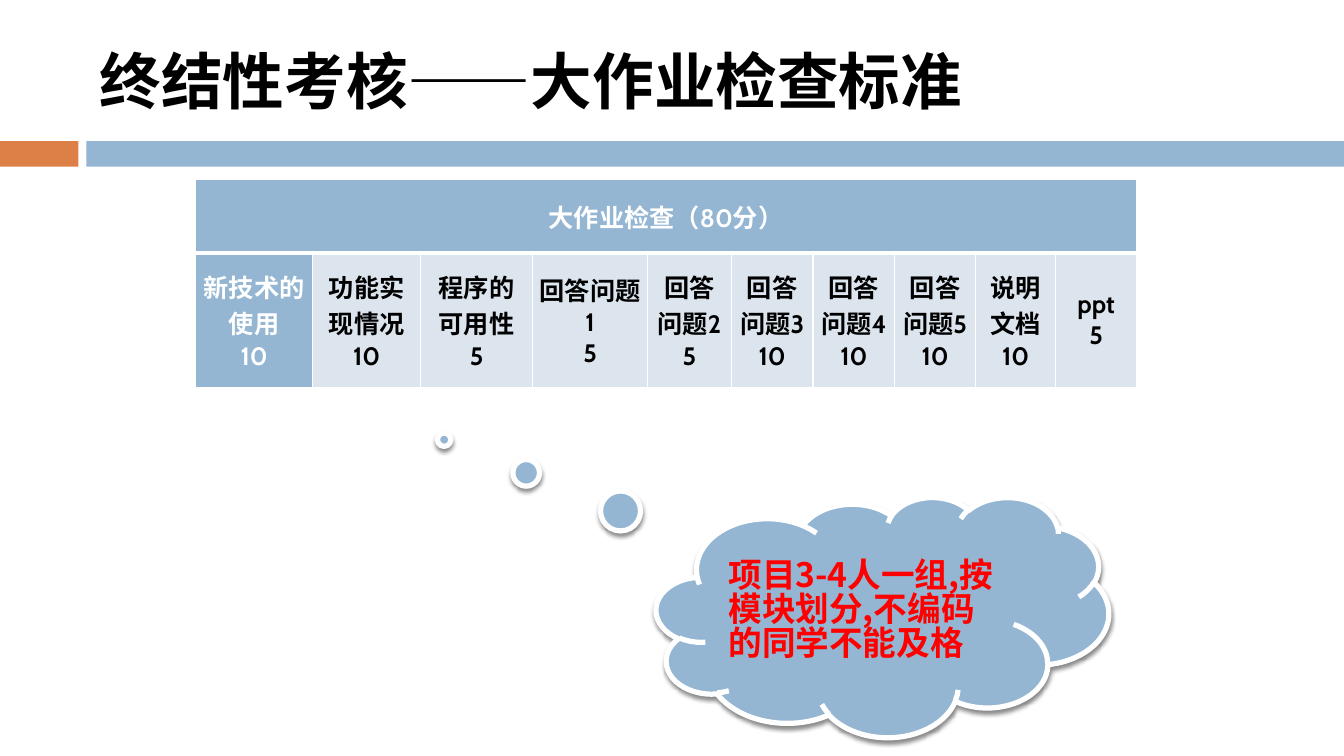
from lxml import etree
from pptx import Presentation
from pptx import util as u
from pptx.dml.color import RGBColor
from pptx.enum import shapes, text
from pptx.oxml import ns

ORANGE = RGBColor(0xDD, 0x80, 0x47)
BLUE = RGBColor(0x94, 0xB6, 0xD2)
PALE = RGBColor(0xDC, 0xE5, 0xEE)
WHITE = RGBColor(0xFF, 0xFF, 0xFF)
BLACK = RGBColor(0, 0, 0)
RED = RGBColor(0xFF, 0, 0)
LATIN = "Cabin"
CHINESE = "Noto Sans CJK SC"

CRITERIA = [
    ("新技术的使用", 10, 2.95),
    ("功能实现情况", 10, 2.72),
    ("程序的可用性", 5, 2.82),
    ("回答问题1", 5, 2.9),
    ("回答问题2", 5, 2.11),
    ("回答问题3", 10, 2.06),
    ("回答问题4", 10, 2.06),
    ("回答问题5", 10, 2.03),
    ("说明文档", 10, 2.03),
    ("ppt", 5, 2.03),
]


def apply(target, formats):
    for key, value in formats.items():
        setattr(target, key, value)


def child(parent, tag, **attributes):
    return etree.SubElement(parent, ns.qn(tag), attributes)


def box(left, top, width, height):
    return [u.Cm(length) for length in (left, top, width, height)]


def add_words(paragraph, words, size, color, font=LATIN):
    run = paragraph.add_run()
    run.text = words
    apply(run.font, {"size": u.Pt(size), "bold": True, "name": font})
    run.font.color.rgb = color
    child(run.font._element, "a:ea", typeface=CHINESE)


def add_filled(slide, preset, place, color):
    filled = slide.shapes.add_shape(preset, *box(*place))
    filled.shadow.inherit = False
    filled.fill.solid()
    filled.fill.fore_color.rgb = color
    filled.line.fill.background()
    return filled


def set_title(slide, words):
    title = slide.shapes.title
    left, top, width, height = box(2.26, 0.64, 30.2, 2.74)
    apply(title, {"left": left, "top": top, "width": width, "height": height})
    apply(title.text_frame, {"vertical_anchor": text.MSO_ANCHOR.MIDDLE, "word_wrap": True})
    heading = title.text_frame.paragraphs[0]
    heading.alignment = text.PP_ALIGN.LEFT
    add_words(heading, words, 44, BLACK)


def add_cloud(slide, words):
    cloud = add_filled(slide, shapes.MSO_SHAPE.CLOUD_CALLOUT, (16.54, 12.52, 11.4, 6.05), BLUE)
    cloud.adjustments[0] = -0.969
    cloud.adjustments[1] = -0.738
    cloud.line.color.rgb = WHITE
    cloud.line.width = u.Pt(3.75)
    effects = cloud._element.spPr.find(ns.qn("a:effectLst"))
    shade = child(effects, "a:outerShdw", blurRad=str(u.Pt(3)), dist=str(u.Pt(2.4)),
                  dir="5400000", rotWithShape="0")
    child(child(shade, "a:srgbClr", val="000000"), "a:alpha", val="45000")
    apply(cloud.text_frame, {"vertical_anchor": text.MSO_ANCHOR.MIDDLE, "word_wrap": True})
    rule = cloud.text_frame.paragraphs[0]
    apply(rule, {"alignment": text.PP_ALIGN.LEFT, "line_spacing": 0.84})
    add_words(rule, words, 24, RED, CHINESE)


def format_cell(cell, fill, bottom=1, top=1):
    properties = cell._tc.get_or_add_tcPr()
    for side, width in (("L", 1), ("R", 1), ("T", top), ("B", bottom)):
        border = child(properties, f"a:ln{side}", w=str(u.Pt(width)))
        child(child(border, "a:solidFill"), "a:srgbClr", val=str(WHITE))
    cell.fill.solid()
    cell.fill.fore_color.rgb = fill
    apply(cell, {"margin_left": u.Cm(0.18), "margin_right": u.Cm(0.18),
                 "margin_top": 0, "margin_bottom": 0,
                 "vertical_anchor": text.MSO_ANCHOR.MIDDLE})


def fill_cell(cell, lines, color):
    paragraph = cell.text_frame.paragraphs[0]
    paragraph.alignment = text.PP_ALIGN.CENTER
    for index, line in enumerate(lines):
        if index:
            paragraph.add_line_break()
        add_words(paragraph, line, 18, color)


def add_criteria(slide):
    total = sum(width for _, _, width in CRITERIA)
    table = slide.shapes.add_table(2, len(CRITERIA), *box(4.93, 4.52, total, 4.8)).table
    table.horz_banding = False
    table.rows[0].height = u.Cm(1.85)
    table.rows[1].height = u.Cm(2.95)
    for column, (criterion, points, width) in enumerate(CRITERIA):
        table.columns[column].width = u.Cm(width)
        format_cell(table.cell(0, column), BLUE, bottom=3)
        score = table.cell(1, column)
        format_cell(score, PALE if column else BLUE, top=3)
        fill_cell(score, (criterion, str(points)), BLACK if column else WHITE)
    header = table.cell(0, 0)
    header.merge(table.cell(0, len(CRITERIA) - 1))
    fill_cell(header, ["大作业检查（80分）"], WHITE)


def main():
    deck = Presentation()
    apply(deck, {"slide_width": u.Cm(33.87), "slide_height": u.Cm(19.05)})
    slide = deck.slides.add_slide(deck.slide_layouts[5])
    for left, width, color in ((0, 1.98, ORANGE), (2.18, 31.69, BLUE)):
        add_filled(slide, shapes.MSO_SHAPE.RECTANGLE, (left, 3.56, width, 0.64), color)
    set_title(slide, "终结性考核——大作业检查标准")
    add_cloud(slide, "项目3-4人一组,按模块划分,不编码的同学不能及格")
    add_criteria(slide)
    deck.save("out.pptx")


if __name__ == "__main__":
    main()
